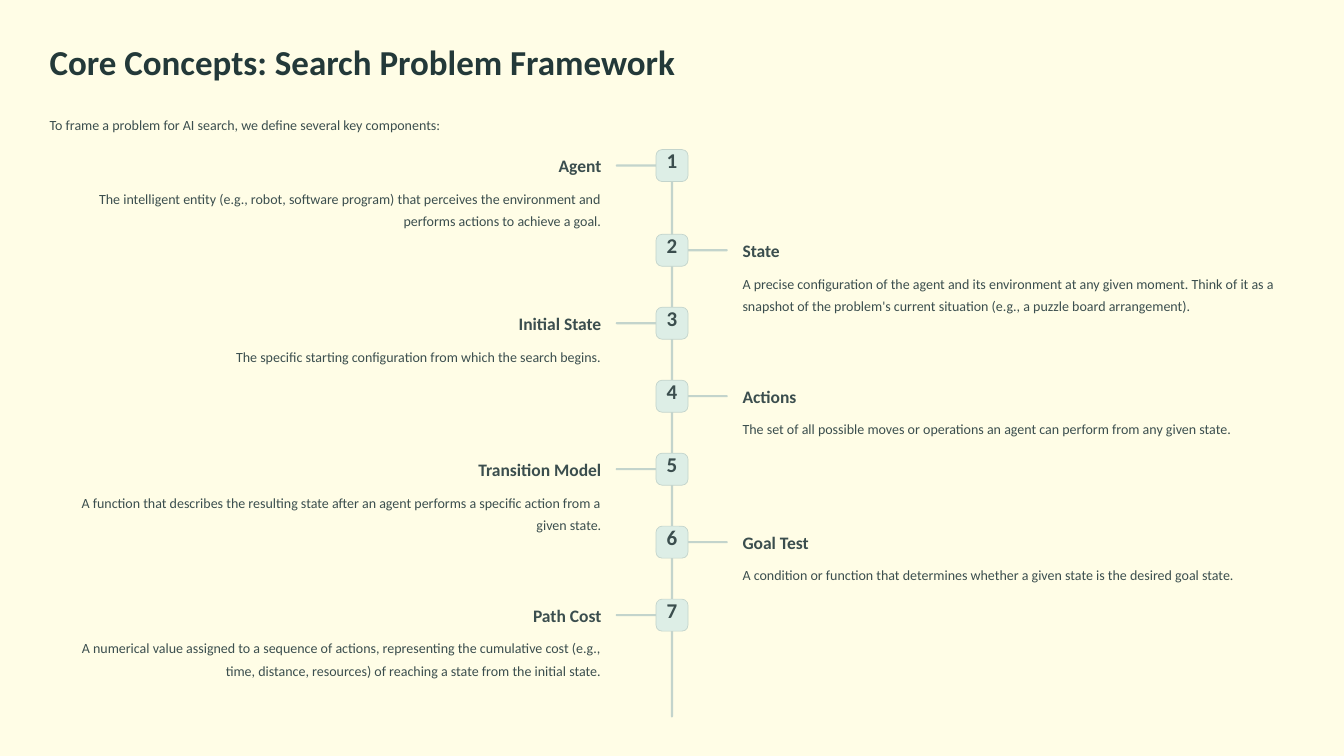
from pptx import Presentation
from pptx.dml.color import RGBColor
from pptx.enum.shapes import MSO_SHAPE
from pptx.enum.text import PP_ALIGN
from pptx.util import Pt

ROUND = MSO_SHAPE.ROUNDED_RECTANGLE
LEFT, MID, RIGHT = PP_ALIGN.LEFT, PP_ALIGN.CENTER, PP_ALIGN.RIGHT
COLORS = {"back": "FFFDE6", "title": "233939", "text": "3B4E4E",
          "line": "C3D4CC", "badge": "DDEEE6"}
STEPS = [
    ("Agent", "The intelligent entity (e.g., robot, software program) that perceives "
     "the environment and performs actions to achieve a goal."),
    ("State", "A precise configuration of the agent and its environment at any given "
     "moment. Think of it as a snapshot of the problem's current situation "
     "(e.g., a puzzle board arrangement)."),
    ("Initial State", "The specific starting configuration from which the search begins."),
    ("Actions", "The set of all possible moves or operations an agent can perform "
     "from any given state."),
    ("Transition Model", "A function that describes the resulting state after an agent "
     "performs a specific action from a given state."),
    ("Goal Test", "A condition or function that determines whether a given state is "
     "the desired goal state."),
    ("Path Cost", "A numerical value assigned to a sequence of actions, representing "
     "the cumulative cost (e.g., time, distance, resources) of reaching a state "
     "from the initial state."),
]
EDGE, WIDE, AXIS = 42.5, 473, 576
TOP, SECOND, STEP = 128.2, 200.8, 62.55
BADGE, THICK, ARM = 27.4, 1.8, 36
ROW = 19.4


class Deck:
    def __init__(self):
        self.prs = Presentation()
        self.prs.slide_width, self.prs.slide_height = Pt(1152), Pt(648)
        self.slide = self.prs.slides.add_slide(self.prs.slide_layouts[6])
        self.font = "Calibri"
        self.paint(self.slide.background.fill, "back")

    def color(self, name):
        return RGBColor.from_string(COLORS[name])

    def paint(self, fill, name):
        fill.solid()
        fill.fore_color.rgb = self.color(name)

    def block(self, x, y, w, h, fill, curve, edge=None):
        shape = self.slide.shapes.add_shape(ROUND, Pt(x), Pt(y), Pt(w), Pt(h))
        shape.shadow.inherit = False
        shape.adjustments[0] = curve
        self.paint(shape.fill, fill)
        if edge:
            shape.line.color.rgb = self.color(edge)
            shape.line.width = Pt(0.6)
        else:
            shape.line.fill.background()

    def bar(self, x, y, w, h):
        self.block(x, y, w, h, "line", 0.5)

    def text(self, words, x, y, w, h, size, pitch, align=LEFT, bold=False, color="text"):
        box = self.slide.shapes.add_textbox(Pt(x), Pt(y), Pt(w), Pt(h))
        frame = box.text_frame
        frame.word_wrap = True
        frame.margin_left = frame.margin_right = 0
        frame.margin_top = frame.margin_bottom = 0
        frame.text = words
        para = frame.paragraphs[0]
        para.alignment = align
        para.line_spacing = Pt(pitch)
        font = para.runs[0].font
        font.name, font.size, font.bold = self.font, Pt(size), bold
        font.color.rgb = self.color(color)

    def step(self, num, y, head, body):
        left = num % 2 == 1
        align = RIGHT if left else LEFT
        body_x = EDGE if left else 636.5
        head_x = EDGE + WIDE - 151.2 if left else body_x
        arm_x = 527.8 if left else 587.8
        rows = 2 if len(body) > 100 else 1
        self.bar(arm_x, y + (BADGE - THICK) / 2, ARM, THICK)
        self.block(AXIS - BADGE / 2, y, BADGE, BADGE, "badge", 0.19, "line")
        self.text(str(num), AXIS - 9, y + 2.2, 18, 22.3, 18, 18, MID, True)
        self.text(head, head_x, y + 4.2, 151.2, 18.7, 15, 18.5, align, True)
        self.text(body, body_x, y + 30.4, WIDE, ROW * rows, 12, 19, align)


def main():
    deck = Deck()
    deck.text("Core Concepts: Search Problem Framework", EDGE, 33.1, 732, 38,
              30, 37.5, bold=True, color="title")
    deck.text("To frame a problem for AI search, we define several key components:",
              EDGE, 95, 1067, ROW, 12, 19)
    deck.bar(AXIS - THICK / 2, TOP, THICK, 486.7)
    for num, (head, body) in enumerate(STEPS, 1):
        y = TOP if num == 1 else SECOND + (num - 2) * STEP
        deck.step(num, y, head, body)
    deck.prs.save("out.pptx")


if __name__ == "__main__":
    main()
